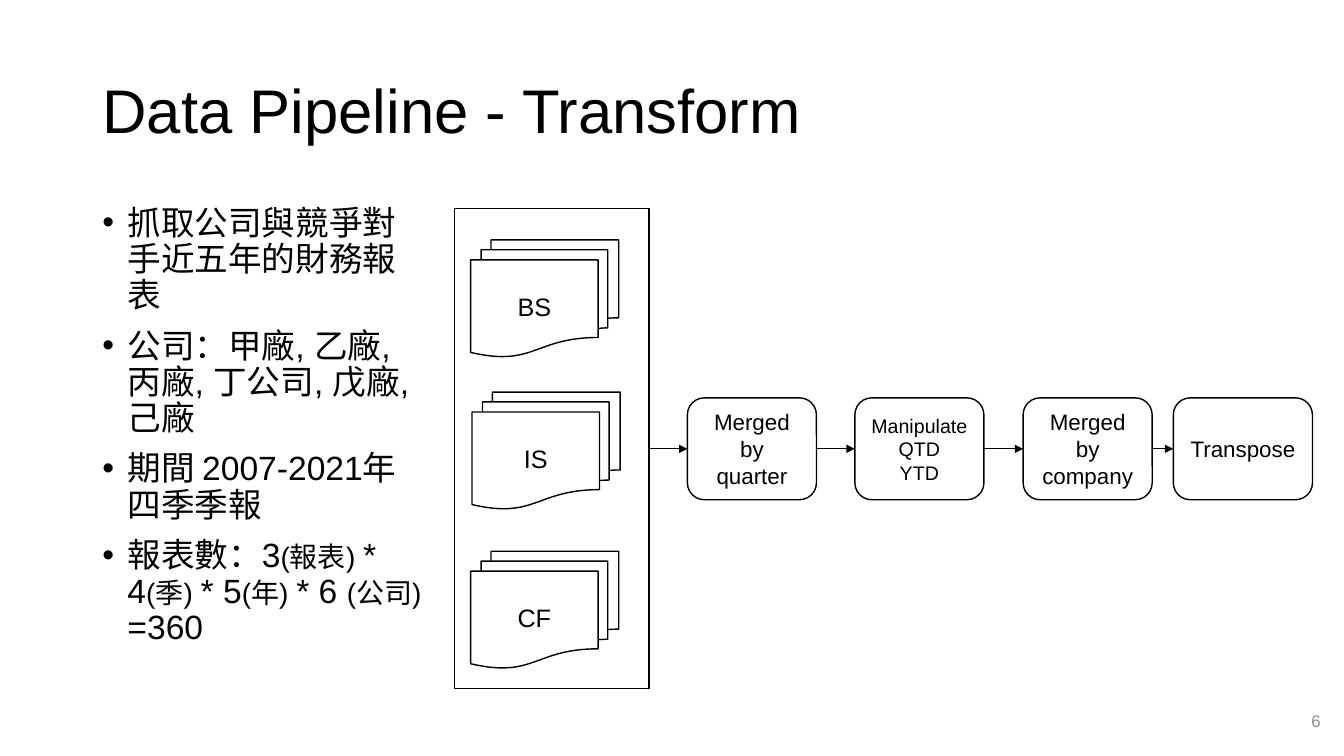
import pptx
import pptx.dml.color
import pptx.enum.shapes
import pptx.enum.text
import pptx.oxml
import pptx.oxml.ns
import pptx.util

Pt = pptx.util.Pt
SHAPE = pptx.enum.shapes.MSO_SHAPE
ALIGN = pptx.enum.text.PP_ALIGN
ANCHOR = pptx.enum.text.MSO_ANCHOR

BLACK = pptx.dml.color.RGBColor(0x00, 0x00, 0x00)
WHITE = pptx.dml.color.RGBColor(0xFF, 0xFF, 0xFF)
GRAY = pptx.dml.color.RGBColor(0x8C, 0x8C, 0x8C)
FONT = "Arial"

FLOW_Y = 320.6
STEP_HEIGHT = 72.8

BULLETS = [
    [("抓取公司與競爭對手近五年的財務報表", 24)],
    [("公司：甲廠, 乙廠, 丙廠, 丁公司, 戊廠,己廠", 24)],
    [("期間 2007-2021年四季季報", 24)],
    [("報表數：3", 24), ("(報表) ", 20), ("* 4", 24), ("(季) ", 20),
     ("* 5", 24), ("(年) ", 20), ("* 6 ", 24), ("(公司) ", 20), ("=360", 24)],
]
REPORTS = [("BS", 336.2, 171.4), ("IS", 337.2, 280.1), ("CF", 336.2, 393.8)]
STATEMENTS_BOX = (324.7, 149, 139, 342.7)
# Text, left, width and font size of each step
STEPS = [
    ("Merged\nby quarter", 491, 92.2, 16),
    ("Manipulate\nQTD\nYTD", 610.6, 92.2, 14),
    ("Merged\nby\ncompany", 730.8, 92.2, 16),
    ("Transpose", 838.1, 99.4, 16),
]


def style_run(r, size, color=BLACK):
    r.font.name = FONT
    r.font.size = Pt(size)
    r.font.color.rgb = color


def style_text(tf, size, align, color=BLACK):
    tf.word_wrap = True
    tf.vertical_anchor = ANCHOR.MIDDLE
    for p in tf.paragraphs:
        p.alignment = align
        for r in p.runs:
            style_run(r, size, color)


def set_title(s, text):
    title = s.shapes.title
    title.left, title.top = Pt(66), Pt(28.75)
    title.width, title.height = Pt(828), Pt(104.4)
    title.text_frame.text = text
    style_text(title.text_frame, 44, ALIGN.LEFT)
    title.text_frame.paragraphs[0].line_spacing = 0.9


def add_bullet(p):
    pPr = p._p.get_or_add_pPr()
    pPr.set("marL", str(Pt(18)))
    pPr.set("indent", str(-Pt(18)))
    ns = pptx.oxml.ns.nsdecls("a")
    pPr.append(pptx.oxml.parse_xml(f'<a:buFont {ns} typeface="{FONT}"/>'))
    pPr.append(pptx.oxml.parse_xml(f'<a:buChar {ns} char="•"/>'))


def add_bullets(s, bullets):
    sp = s.shapes.add_textbox(Pt(66), Pt(143.75), Pt(242.6), Pt(342.7))
    tf = sp.text_frame
    tf.word_wrap = True
    for i, parts in enumerate(bullets):
        p = tf.add_paragraph() if i else tf.paragraphs[0]
        p.line_spacing = 0.9
        p.space_before = Pt(10)
        add_bullet(p)
        for text, size in parts:
            r = p.add_run()
            r.text = text
            style_run(r, size)


def add_box(s, kind, left, top, width, height, text="", size=16, fill=None):
    sp = s.shapes.add_shape(kind, Pt(left), Pt(top), Pt(width), Pt(height))
    sp.shadow.inherit = False
    if fill is None:
        sp.fill.background()
    else:
        sp.fill.solid()
        sp.fill.fore_color.rgb = fill
    sp.line.color.rgb = BLACK
    sp.line.width = Pt(1)
    if text:
        sp.text_frame.text = text
        style_text(sp.text_frame, size, ALIGN.CENTER)


def add_arrow(s, start, end):
    """Draw a horizontal arrow along the flow line."""
    line = s.shapes.add_connector(pptx.enum.shapes.MSO_CONNECTOR.STRAIGHT,
                                  Pt(start), Pt(FLOW_Y), Pt(end), Pt(FLOW_Y))
    line.line.color.rgb = BLACK
    line.line.width = Pt(0.5)
    ns = pptx.oxml.ns.nsdecls("a")
    line.line._get_or_add_ln().append(
        pptx.oxml.parse_xml(f'<a:tailEnd {ns} type="triangle"/>'))
    line._element.spPr.append(pptx.oxml.parse_xml(f"<a:effectLst {ns}/>"))


def add_slide_number(s, number):
    sp = s.shapes.add_textbox(Pt(734.4), Pt(500.5), Pt(216), Pt(28.75))
    sp.text_frame.text = number
    style_text(sp.text_frame, 12, ALIGN.RIGHT, GRAY)


def main():
    prs = pptx.Presentation()
    prs.slide_width, prs.slide_height = Pt(960), Pt(540)
    s = prs.slides.add_slide(prs.slide_layouts.get_by_name("Title Only"))
    set_title(s, "Data Pipeline - Transform")
    add_bullets(s, BULLETS)
    add_slide_number(s, "6")

    for text, left, top in REPORTS:
        add_box(s, SHAPE.FLOWCHART_MULTIDOCUMENT, left, top, 105.8, 83.5,
                text, 18, WHITE)
    add_box(s, SHAPE.RECTANGLE, *STATEMENTS_BOX)

    flow_end = STATEMENTS_BOX[0] + STATEMENTS_BOX[2]
    for text, left, width, size in STEPS:
        add_box(s, SHAPE.ROUNDED_RECTANGLE, left, FLOW_Y - STEP_HEIGHT / 2,
                width, STEP_HEIGHT, text, size)
        add_arrow(s, flow_end, left)
        flow_end = left + width
    prs.save("out.pptx")


if __name__ == "__main__":
    main()
